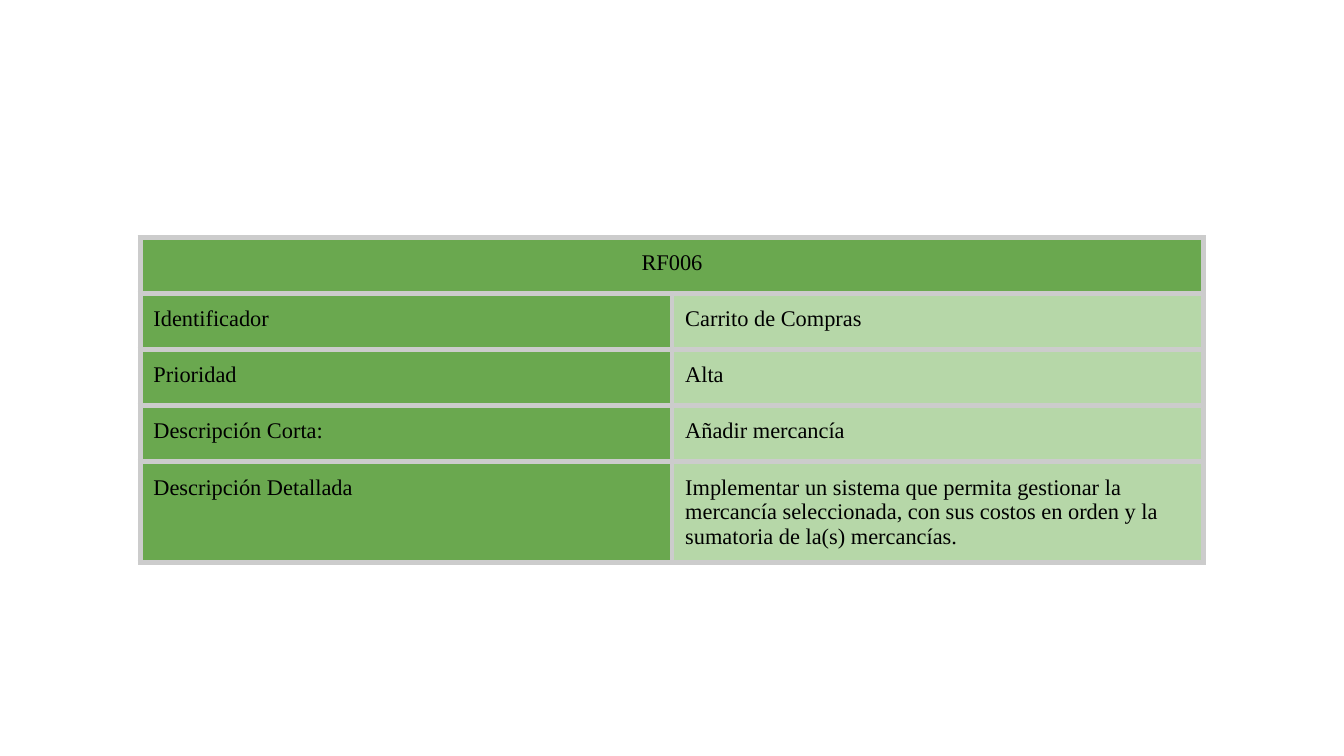
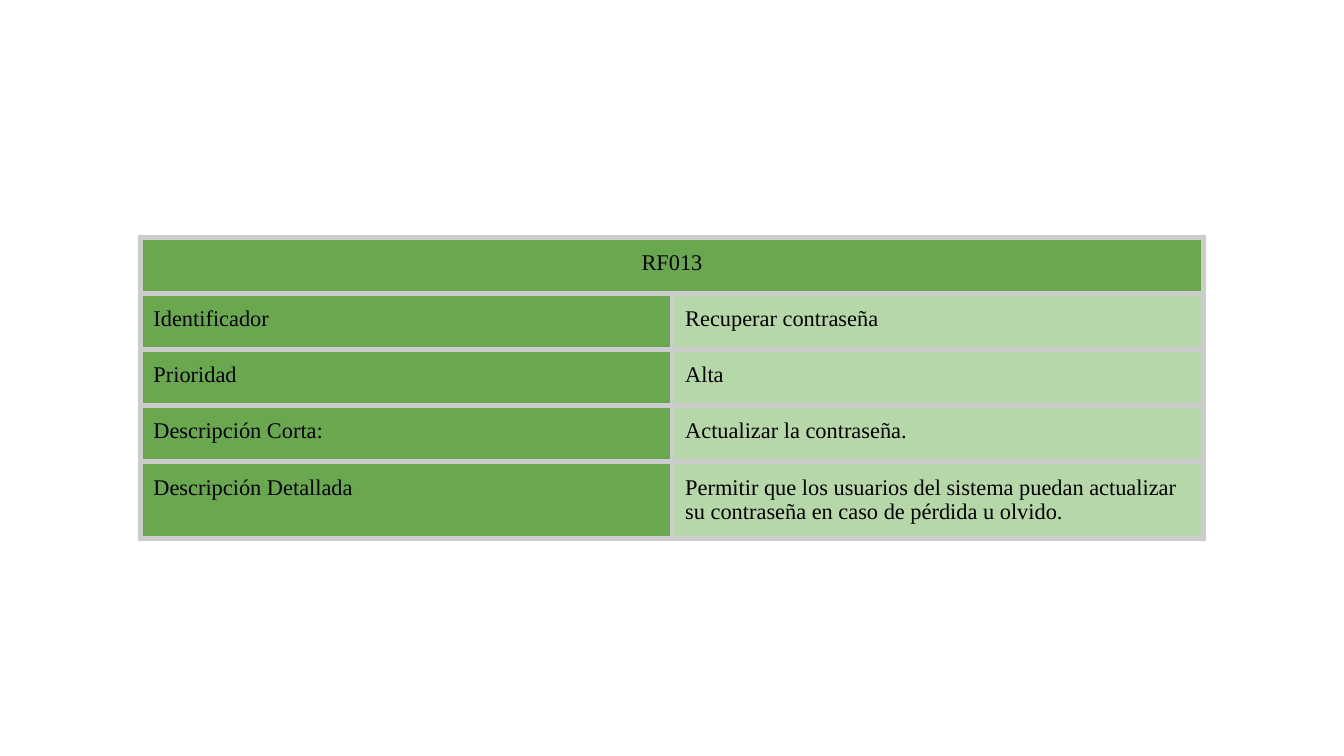
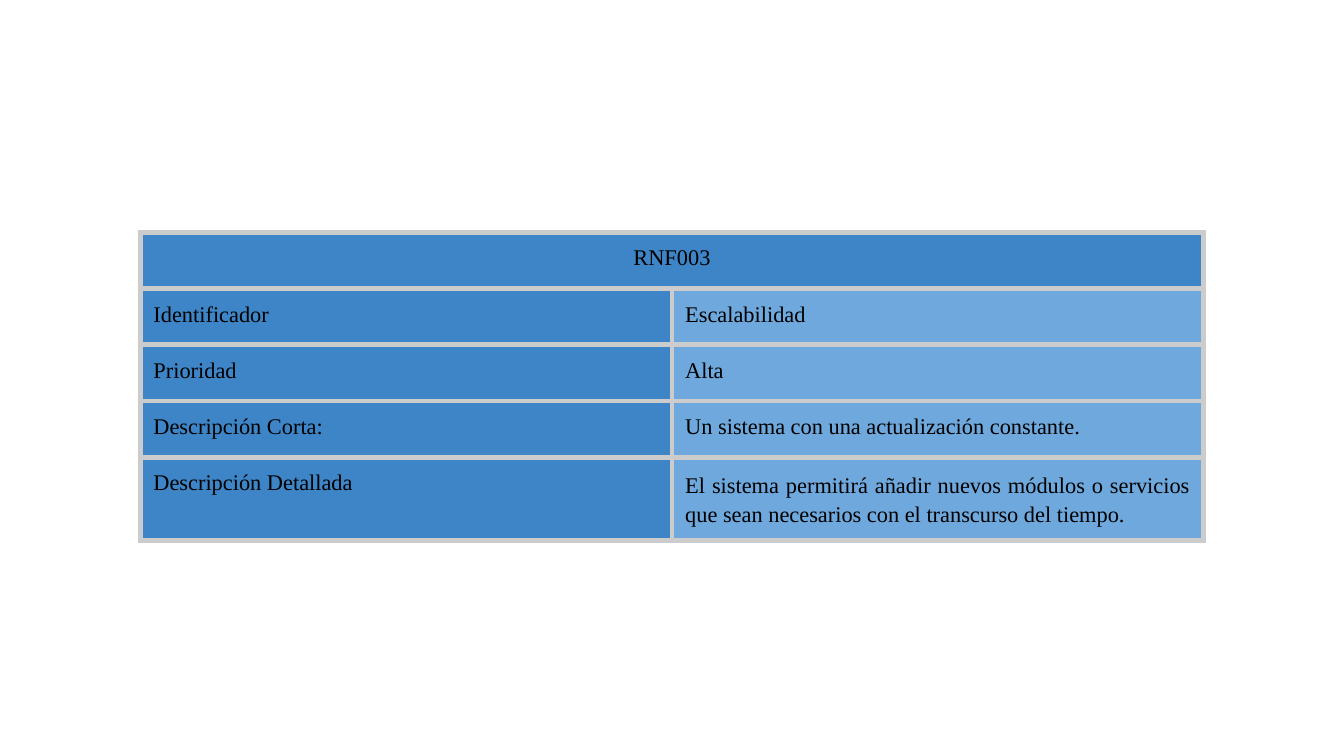
"""Build requirement cards, one table on each slide."""
from dataclasses import dataclass

from lxml.etree import SubElement
from pptx import Presentation
from pptx.dml.color import RGBColor as Rgb
from pptx.enum.text import PP_ALIGN as Align
from pptx.oxml.ns import qn
from pptx.util import Cm, Pt


@dataclass(frozen=True)
class Theme:
    """Colours, type and measures shared by the cards."""
    font: str = "Times New Roman"
    size: int = 12
    ink: str = "000000"
    border: str = "CCCCCC"
    border_width: int = 3
    green: tuple = ("6AA84F", "B6D7A8")
    blue: tuple = ("3D85C6", "6FA8DC")
    page_width: float = 25.4
    page_height: float = 14.29
    column_width: float = 10.05
    row_height: float = 1.06
    padding: float = 0.25


LABELS = ("Identificador", "Prioridad", "Descripción Corta:", "Descripción Detallada")


class CardDeck:
    """Hold the theme and the current page, and draw the cards."""

    def __init__(self, theme):
        """Open an empty deck of the theme's page size."""
        self.theme = theme
        self.deck = Presentation()
        self.deck.slide_width = Cm(theme.page_width)
        self.deck.slide_height = Cm(theme.page_height)
        self.page = None

    def add_page(self):
        """Start a new page without placeholders."""
        self.page = self.deck.slides.add_slide(self.deck.slide_layouts[6])

    def draw_borders(self, cell):
        """Draw the same solid line on all four sides of a cell."""
        properties = cell._tc.get_or_add_tcPr()
        for side in ("a:lnL", "a:lnR", "a:lnT", "a:lnB"):
            line = SubElement(properties, qn(side), w=str(Pt(self.theme.border_width)))
            fill = SubElement(line, qn("a:solidFill"))
            SubElement(fill, qn("a:srgbClr"), val=self.theme.border)

    def style_cell(self, cell, colour):
        """Give a cell its borders, fill and padding."""
        self.draw_borders(cell)
        cell.fill.solid()
        cell.fill.fore_color.rgb = Rgb.from_string(colour)
        padding = Cm(self.theme.padding)
        cell.margin_left = cell.margin_right = padding
        cell.margin_top = cell.margin_bottom = padding

    def set_text(self, cell, text, align=None, spacing=None):
        """Put one paragraph in a cell and format it."""
        para = cell.text_frame.paragraphs[0]
        para.text = text
        para.alignment = align
        para.line_spacing = spacing
        for span in para.runs:
            span.font.name = self.theme.font
            span.font.size = Pt(self.theme.size)
            span.font.color.rgb = Rgb.from_string(self.theme.ink)

    def add_card(self, code, values, colours, top, formats=None):
        """Add a requirement table with a merged heading row."""
        theme, formats = self.theme, formats or {}
        count = len(LABELS) + 1
        width = 2 * theme.column_width
        table = self.page.shapes.add_table(
            count, 2, Cm((theme.page_width - width) / 2), Cm(top),
            Cm(width), Cm(count * theme.row_height)).table
        table.first_row = table.horz_banding = False
        for row in table.rows:
            for cell, colour in zip(row.cells, colours):
                self.style_cell(cell, colour)
        heading = table.cell(0, 0)
        heading.merge(table.cell(0, 1))
        self.set_text(heading, code, Align.CENTER)
        for index, (label, value) in enumerate(zip(LABELS, values), start=1):
            self.set_text(table.cell(index, 0), label)
            self.set_text(table.cell(index, 1), value, **formats.get(label, {}))


def main():
    """Build the three cards and save the deck."""
    theme = Theme()
    cards = CardDeck(theme)

    cards.add_page()
    cards.add_card("RF006", (
        "Carrito de Compras", "Alta", "Añadir mercancía",
        "Implementar un sistema que permita gestionar la mercancía seleccionada, "
        "con sus costos en orden y la sumatoria de la(s) mercancías."),
        theme.green, top=4.49)

    cards.add_page()
    cards.add_card("RF013", (
        "Recuperar contraseña", "Alta", "Actualizar la contraseña.",
        "Permitir que los usuarios del sistema puedan actualizar su contraseña "
        "en caso de pérdida u olvido."),
        theme.green, top=4.49)

    cards.add_page()
    cards.add_card("RNF003", (
        "Escalabilidad", "Alta", "Un sistema con una actualización constante.",
        "El sistema permitirá añadir nuevos módulos o servicios que sean "
        "necesarios con el transcurso del tiempo."),
        theme.blue, top=4.4,
        formats={"Descripción Corta:": {"align": Align.JUSTIFY},
                 "Descripción Detallada": {"align": Align.JUSTIFY, "spacing": 1.15}})

    cards.deck.save("out.pptx")


main()
